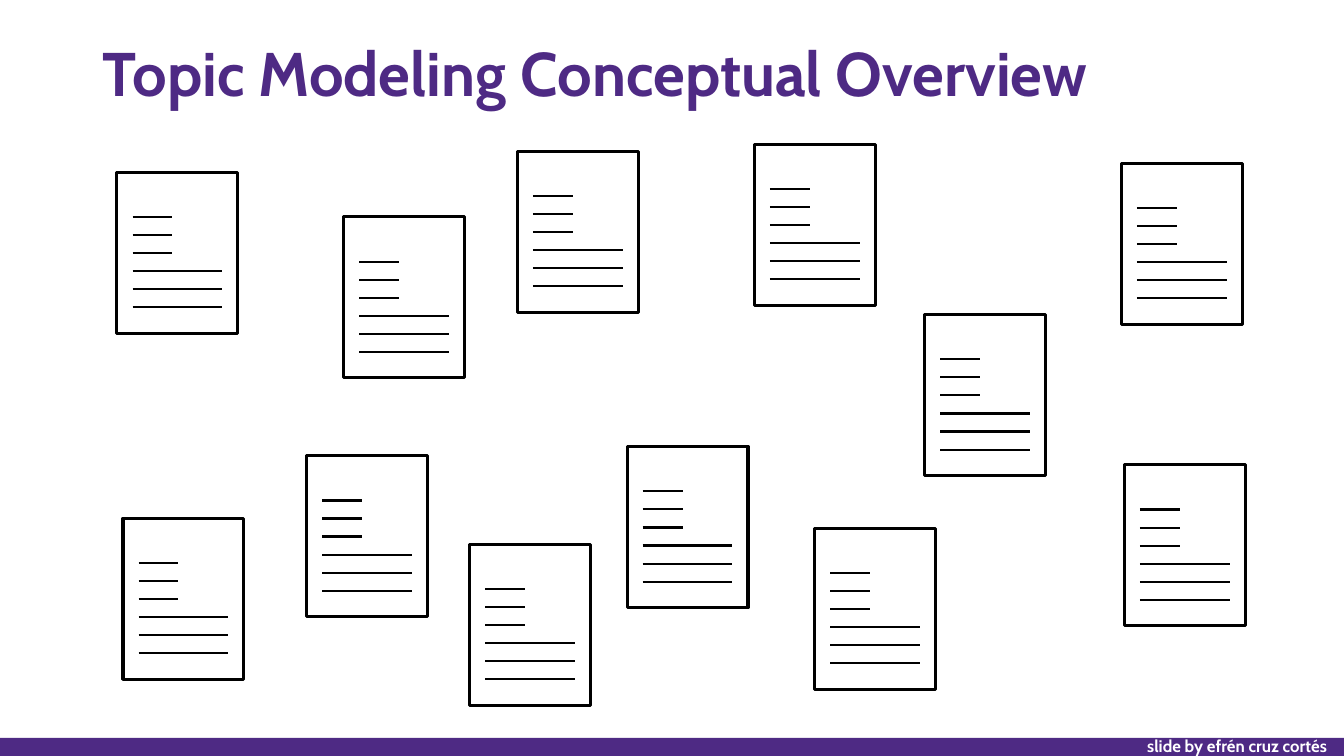
from pptx import Presentation
from pptx.dml.color import RGBColor
from pptx.enum.shapes import MSO_CONNECTOR as CONN, MSO_SHAPE as SHAPE
from pptx.enum.text import MSO_ANCHOR as ANCHOR, MSO_AUTO_SIZE as AUTO, PP_ALIGN as ALIGN
from pptx.oxml.ns import qn
from pptx.util import Inches, Pt
from lxml import etree

W, H = 13.33, 7.5
PURPLE, BLACK, WHITE = "4E2A84", "000000", "FFFFFF"

# Documents: left and top of each page, all of one size
PAGE_W, PAGE_H = 1.2, 1.6
PAGES = [
    (7.48, 1.43), (5.13, 1.5), (8.08, 5.24), (1.16, 1.71),
    (11.12, 1.62), (9.17, 3.12), (6.22, 4.43), (4.66, 5.4),
    (1.22, 5.14), (11.15, 4.61), (3.41, 2.15), (3.04, 4.52),
]
# Text lines on a page: inset, first line, pitch, and their lengths
INSET, FIRST, PITCH = 0.155, 0.445, 0.179
LENGTHS = [0.395] * 3 + [0.89] * 3


def color(hex_value):
    return RGBColor.from_string(hex_value)


def inches(*values):
    return [Inches(v) for v in values]


def write(tf, text, size, hex_value):
    p = tf.paragraphs[0]
    r = p.add_run()
    r.text = text
    for name, value in {"name": "Cabin", "size": Pt(size), "bold": True}.items():
        setattr(r.font, name, value)
    r.font.color.rgb = color(hex_value)
    return p


def add_rect(shapes, box, fill, line=None):
    sp = shapes.add_shape(SHAPE.RECTANGLE, *inches(*box))
    sp.shadow.inherit = False
    sp.fill.solid()
    sp.fill.fore_color.rgb = color(fill)
    if line:
        sp.line.color.rgb = color(line)
        sp.line.width = Pt(2.25)
    else:
        sp.line.fill.background()


def add_line(shapes, x, y, length):
    cxn = shapes.add_connector(CONN.STRAIGHT, *inches(x, y, x + length, y))
    cxn.line.color.rgb = color(BLACK)
    cxn.line.width = Pt(1.5)
    etree.SubElement(cxn._element.spPr, qn("a:effectLst"))


def add_title(s, box, text):
    sp = s.shapes.title
    for name, value in zip(("left", "top", "width", "height"), inches(*box)):
        setattr(sp, name, value)
    tf = sp.text_frame
    for name, value in {"vertical_anchor": ANCHOR.MIDDLE, "word_wrap": True,
                        "auto_size": AUTO.NONE}.items():
        setattr(tf, name, value)
    p = write(tf, text, 44, PURPLE)
    p.alignment = ALIGN.LEFT
    p.line_spacing = 0.9


def add_page(s, x, y):
    shapes = s.shapes.add_group_shape().shapes
    add_rect(shapes, (x, y, PAGE_W, PAGE_H), WHITE, BLACK)
    for row, length in enumerate(LENGTHS):
        add_line(shapes, x + INSET, y + FIRST + row * PITCH, length)


def add_footer(s, box, text):
    tf = s.shapes.add_textbox(*inches(*box)).text_frame
    tf.word_wrap = False
    tf.auto_size = AUTO.SHAPE_TO_FIT_TEXT
    write(tf, text, 12, WHITE)


def main():
    prs = Presentation()
    prs.slide_width, prs.slide_height = inches(W, H)
    s = prs.slides.add_slide(prs.slide_layouts[5])

    # Title
    add_title(s, (0.92, 0.27, 11.5, 0.98), "Topic Modeling Conceptual Overview")

    # Scattered documents
    for x, y in PAGES:
        add_page(s, x, y)

    # Bottom bar with credit
    add_rect(s.shapes, (0, 7.32, W, H - 7.32), PURPLE)
    add_footer(s, (11.28, 7.25, 2.12, 0.3), "slide by efrén cruz cortés")

    prs.save("out.pptx")


if __name__ == "__main__":
    main()
